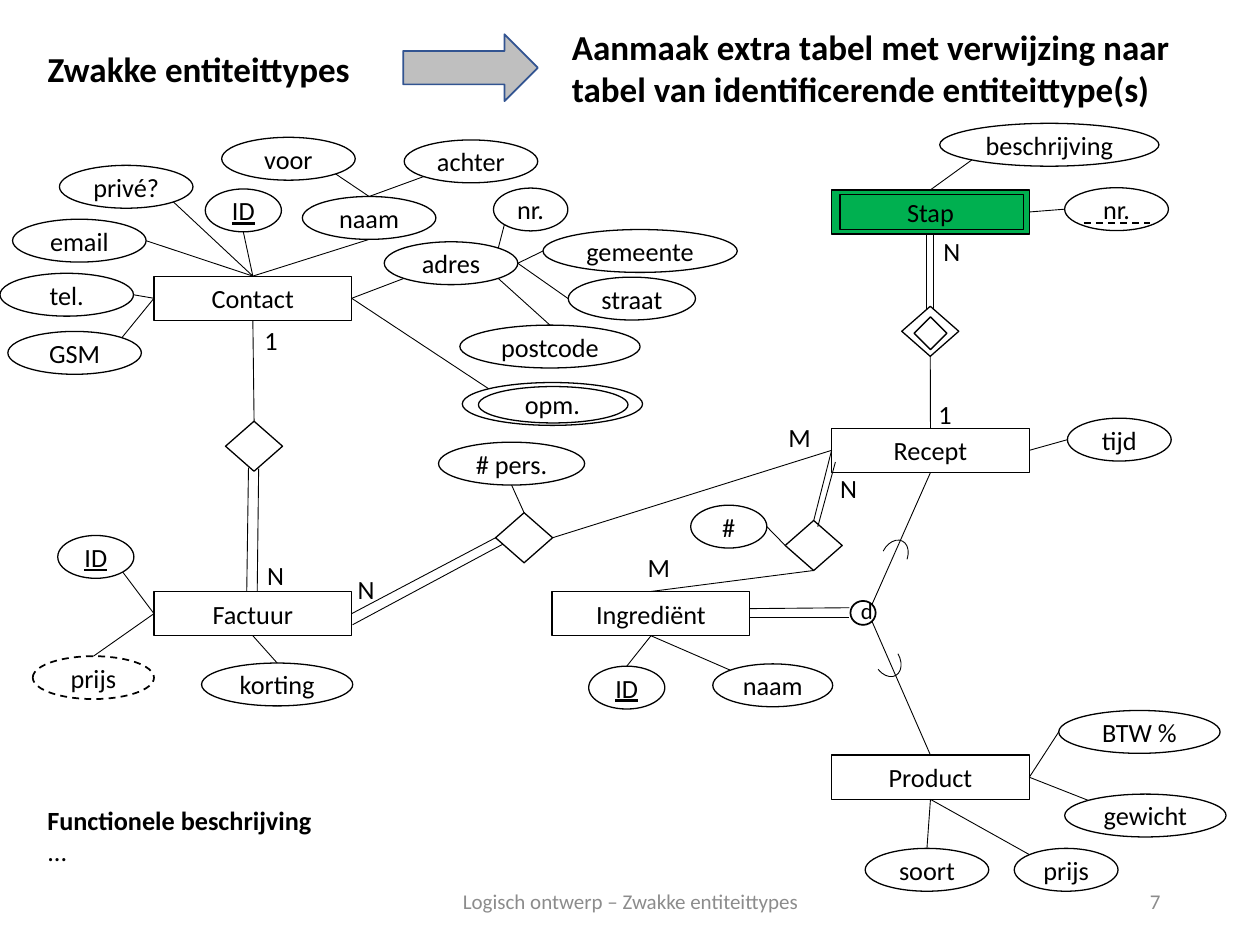
from math import sqrt

from lxml import etree
from pptx import Presentation
from pptx.dml.color import RGBColor
from pptx.enum.dml import MSO_LINE
from pptx.enum.shapes import MSO_CONNECTOR, MSO_SHAPE
from pptx.enum.text import MSO_ANCHOR, MSO_AUTO_SIZE, PP_ALIGN
from pptx.oxml.ns import qn
from pptx.util import Pt

BLACK = RGBColor(0, 0, 0)
WHITE = RGBColor(255, 255, 255)
GREEN = RGBColor(0x00, 0xB0, 0x50)
GRAY = RGBColor(0xBF, 0xBF, 0xBF)
BLUE = RGBColor(0x32, 0x54, 0x91)
FOOTER_GRAY = RGBColor(0x8C, 0x8C, 0x8C)
RECTANGLE, OVAL, DIAMOND = MSO_SHAPE.RECTANGLE, MSO_SHAPE.OVAL, MSO_SHAPE.DIAMOND
LEFT, CENTER, RIGHT = PP_ALIGN.LEFT, PP_ALIGN.CENTER, PP_ALIGN.RIGHT
TOP, MIDDLE = MSO_ANCHOR.TOP, MSO_ANCHOR.MIDDLE
DASH = MSO_LINE.DASH
FONT = "Calibri"

# Entity types: name, left, top
ENTITY_SIZE = (113, 25.3)
ENTITIES = [
    ("Contact", 88, 157.8), ("Factuur", 88, 338), ("Recept", 475.2, 244.7),
    ("Ingrediënt", 315.5, 338), ("Product", 475.2, 431.5), ("Stap", 475.2, 108.5),
]

# Attributes: key, label, left, top, width
ATTRIBUTE_HEIGHT = 24.5
ATTRIBUTES = [
    ("contact ID", "ID", 117.3, 108, 43.5), ("naam", "naam", 172.8, 112.3, 76.3),
    ("voor", "voor", 126.7, 78.5, 76.3), ("achter", "achter", 231, 80, 76.3),
    ("privé", "privé?", 34, 94.5, 76.3), ("adres", "adres", 219.6, 138.2, 76.3),
    ("huisnr", "nr.", 282, 107.5, 42.5), ("gemeente", "gemeente", 310.3, 131.2, 111),
    ("straat", "straat", 324.7, 158.4, 72.7), ("postcode", "postcode", 262.8, 185.8, 103),
    ("email", "email", 7.2, 125.3, 76.3), ("tel", "tel.", 0, 156.2, 76.3),
    ("GSM", "GSM", 4.5, 189.4, 76.3), ("opm", "opm.", 264.2, 218.6, 103),
    ("tijd", "tijd", 610, 239, 59.3), ("ingrediëntnaam", "naam", 407.3, 379.4, 68.5),
    ("stapnr", "nr.", 608.4, 107.3, 59.3), ("beschrijving", "beschrijving", 537, 70.5, 125.3),
    ("soort", "soort", 494.4, 484.8, 70.6), ("productprijs", "prijs", 579.6, 484.8, 59.3),
    ("gewicht", "gewicht", 608.4, 453.8, 92.2), ("BTW", "BTW %", 605, 406, 92.2),
    ("ingrediënt ID", "ID", 336.4, 380.7, 43.5), ("pers", "# pers.", 250.6, 252.7, 83.5),
    ("factuur ID", "ID", 33, 306, 43.5), ("aantal", "#", 394.7, 288.7, 43.5),
    ("factuurprijs", "prijs", 18.7, 375, 69.3), ("korting", "korting", 115.2, 378.9, 86.4),
]

# Relationships: key, left, top
DIAMOND_SIZE = (32.6, 28.6)
RELATIONSHIPS = [
    ("stap-recept", 515.3, 175), ("recept-ingrediënt", 448.7, 297.4),
    ("contact-factuur", 128.9, 240.7), ("factuur-recept", 283.2, 293),
]

# Links: node, side, node, side (t, l, b, r or a corner such as tl)
LINKS = [
    ("contact ID", "b", "Contact", "t"), ("privé", "br", "Contact", "t"),
    ("email", "r", "Contact", "t"), ("tel", "r", "Contact", "l"),
    ("GSM", "tr", "Contact", "l"), ("naam", "b", "Contact", "t"),
    ("voor", "br", "naam", "t"), ("achter", "bl", "naam", "t"),
    ("adres", "bl", "Contact", "r"), ("huisnr", "bl", "adres", "tr"),
    ("gemeente", "l", "adres", "r"), ("straat", "l", "adres", "r"),
    ("postcode", "t", "adres", "br"), ("opm", "tl", "Contact", "r"),
    ("tijd", "l", "Recept", "r"), ("ingrediëntnaam", "tl", "Ingrediënt", "b"),
    ("stapnr", "l", "Stap", "r"), ("beschrijving", "bl", "Stap", "t"),
    ("soort", "t", "Product", "b"), ("productprijs", "tl", "Product", "b"),
    ("gewicht", "tl", "Product", "r"), ("BTW", "l", "Product", "r"),
    ("disjunct", "tr", "Recept", "b"), ("disjunct", "br", "Product", "t"),
    ("ingrediënt ID", "t", "Ingrediënt", "b"), ("stap-recept", "b", "Recept", "t"),
    ("recept-ingrediënt", "b", "Ingrediënt", "t"), ("recept-ingrediënt", "t", "Recept", "l"),
    ("contact-factuur", "t", "Contact", "b"), ("factuur-recept", "r", "Recept", "l"),
    ("factuur-recept", "l", "Factuur", "r"), ("pers", "b", "factuur-recept", "t"),
    ("factuur ID", "br", "Factuur", "l"), ("aantal", "r", "recept-ingrediënt", "l"),
    ("factuurprijs", "t", "Factuur", "l"), ("korting", "t", "Factuur", "b"),
]

# Lines of total participation: x1, y1, x2, y2
PARALLELS = [
    (428.4, 347.8, 485.3, 347.3), (428.4, 353, 485.3, 353),
    (533.5, 177.3, 533.5, 134), (529.2, 177.3, 529.2, 134),
    (467.3, 301, 477.4, 264), (287.3, 311, 201.5, 357),
    (147.8, 267.8, 147, 338), (142, 267.3, 141, 338),
]

# Cardinalities: label, left, top
CARDINALITIES = [
    ("N", 145.6, 316.3), ("1", 144, 181.6), ("N", 197.3, 324.3), ("M", 443.5, 237.4),
    ("M", 363, 311.3), ("N", 473, 266.2), ("1", 529.2, 224), ("N", 532, 131),
]

SITES = {"t": 0, "l": 1, "b": 2, "r": 3}
nodes = {}

presentation = Presentation()
presentation.slide_width, presentation.slide_height = Pt(720), Pt(540)
slide = presentation.slides.add_slide(presentation.slide_layouts[5])


def write(shape, text, size=15, color=BLACK, bold=False, align=LEFT, anchor=TOP, wrap=True):
    frame = shape.text_frame
    frame.text = text
    frame.word_wrap = wrap
    frame.auto_size = MSO_AUTO_SIZE.NONE
    frame.vertical_anchor = anchor
    for paragraph in frame.paragraphs:
        paragraph.alignment = align
        for run in paragraph.runs:
            font = run.font
            font.name, font.size, font.bold = FONT, Pt(size), bold
            font.color.rgb = color
    return frame


def add_text(text, left, top, width, height, **style):
    box = slide.shapes.add_textbox(Pt(left), Pt(top), Pt(width), Pt(height))
    return write(box, text, **style)


def add_shape(kind, left, top, width, height, fill=None, line=BLACK, weight=0.75):
    shape = slide.shapes.add_shape(kind, Pt(left), Pt(top), Pt(width), Pt(height))
    shape.shadow.inherit = False
    if fill is None:
        shape.fill.background()
    else:
        shape.fill.solid()
        shape.fill.fore_color.rgb = fill
    shape.line.color.rgb = line
    shape.line.width = Pt(weight)
    return shape


def add_line(x1, y1, x2, y2, weight=0.5):
    line = slide.shapes.add_connector(MSO_CONNECTOR.STRAIGHT, Pt(x1), Pt(y1), Pt(x2), Pt(y2))
    line.line.color.rgb = BLACK
    line.line.width = Pt(weight)
    etree.SubElement(line._element.spPr, qn("a:effectLst"))
    return line


def site_point(shape, side):
    reach = 0.5 / sqrt(2) if len(side) == 2 else 0.5
    across = ("r" in side) - ("l" in side)
    down = ("b" in side) - ("t" in side)
    return (shape.left.pt + shape.width.pt * (0.5 + reach * across),
            shape.top.pt + shape.height.pt * (0.5 + reach * down))


# Title and heading
title = slide.shapes.title
title.left, title.top, title.width, title.height = Pt(20), Pt(23.8), Pt(208), Pt(31.7)
write(title, "Zwakke entiteittypes", size=20, bold=True)
add_shape(MSO_SHAPE.RIGHT_ARROW, 230.4, 19.6, 77, 38.2, GRAY, BLUE, 1)
add_text("Aanmaak extra tabel met verwijzing naar tabel van identificerende entiteittype(s)",
         319.7, 10.8, 363, 55.5, size=20, bold=True)

# Entity types, attributes and relationships
for name, left, top in ENTITIES:
    nodes[name] = add_shape(RECTANGLE, left, top, *ENTITY_SIZE,
                            fill=GREEN if name == "Stap" else None)
    write(nodes[name], name, align=CENTER, anchor=MIDDLE)
for key, label, left, top, width in ATTRIBUTES:
    nodes[key] = add_shape(OVAL, left, top, width, ATTRIBUTE_HEIGHT, WHITE)
    frame = write(nodes[key], label, align=CENTER, anchor=MIDDLE, wrap=False)
    if label == "ID":
        frame.paragraphs[0].runs[0].font.underline = True
for key, left, top in RELATIONSHIPS:
    nodes[key] = add_shape(DIAMOND, left, top, *DIAMOND_SIZE, fill=WHITE)
nodes["disjunct"] = add_shape(OVAL, 486, 343.4, 14.4, 13.7, weight=1)
add_text("d", 486.8, 337.7, 17, 23, size=13, align=CENTER, wrap=False)

# Double outlines, derived attribute and partial key
add_shape(RECTANGLE, 480, 111.3, 105, 20)
add_shape(OVAL, 273.4, 220.9, 85.5, 20.8)
add_shape(DIAMOND, 522.4, 181.1, 18.7, 18.7, WHITE)
nodes["factuurprijs"].line.dash_style = DASH
nodes["factuurprijs"].line.width = Pt(1)
add_line(619.2, 127.4, 657.4, 127.4, 1).line.dash_style = DASH

# Links
for start, start_side, end, end_side in LINKS:
    first, last = nodes[start], nodes[end]
    line = add_line(*site_point(first, start_side), *site_point(last, end_side))
    if first.auto_shape_type != OVAL:
        line.begin_connect(first, SITES[start_side])
    if last.auto_shape_type != OVAL:
        line.end_connect(last, SITES[end_side])
for ends in PARALLELS:
    add_line(*ends)

# Subset arcs
for left, top, angle in [(501, 311, 297.1), (496.8, 370, 60.1)]:
    arc = add_shape(MSO_SHAPE.ARC, left, top, 20.2, 14.4, weight=0.5)
    arc.adjustments[1] = 44.44
    arc.rotation = angle

# Cardinalities
for label, left, top in CARDINALITIES:
    add_text(label, left, top, 25, 25.3, wrap=False)

# Description and footer
description = add_text("Functionele beschrijving\n...", 20, 455.8, 204.5, 43.6)
description.paragraphs[0].runs[0].font.bold = True
footer = {"size": 12, "color": FOOTER_GRAY, "anchor": MIDDLE}
add_text("7", 508.3, 500.5, 162, 28.8, align=RIGHT, **footer)
add_text("Logisch ontwerp – Zwakke entiteittypes", 209.5, 500.5, 301.7, 28.8,
         align=CENTER, **footer)

presentation.save("out.pptx")
